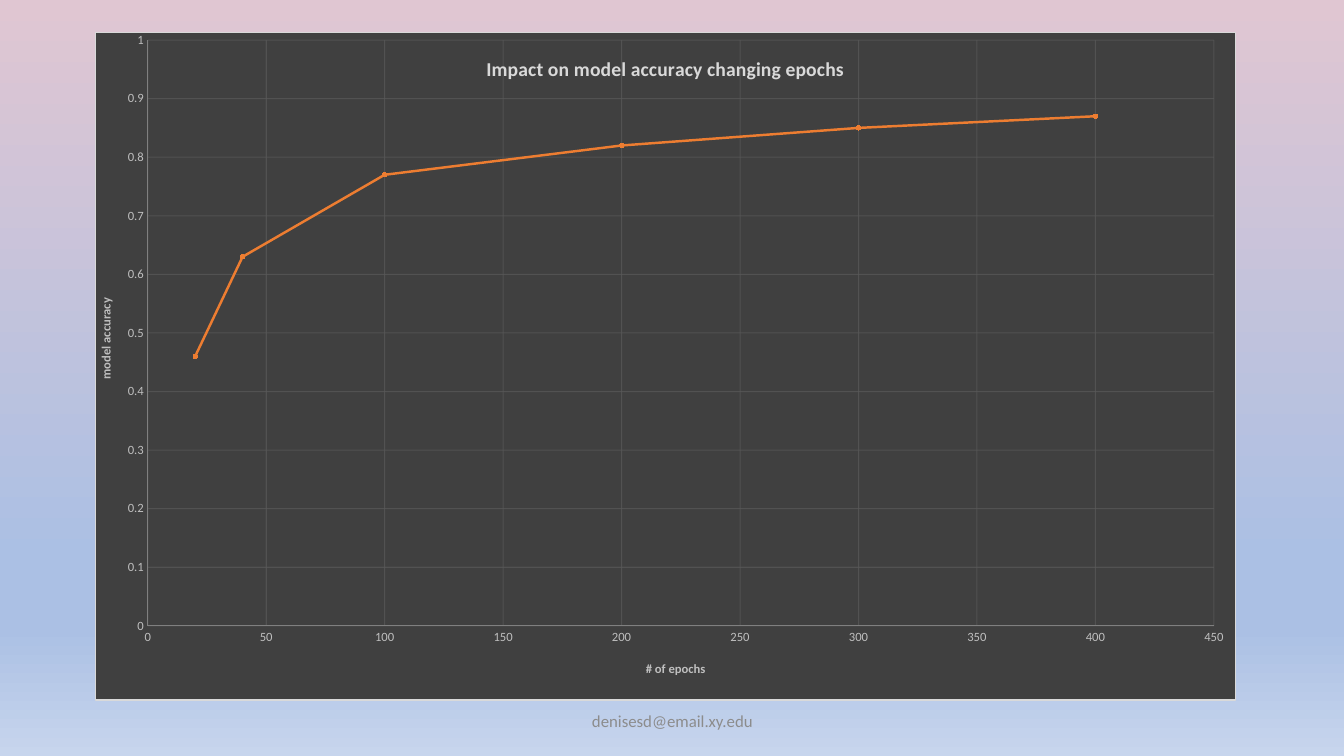
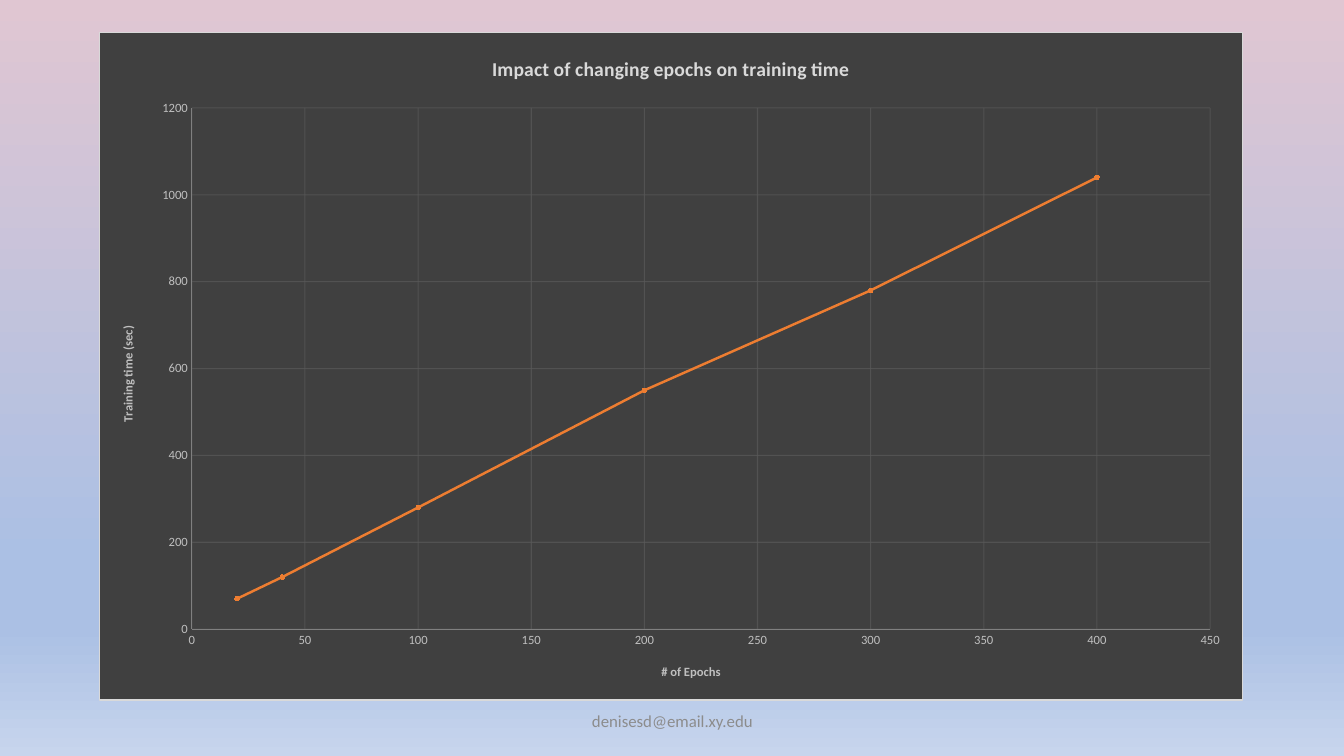
from pptx import Presentation
from pptx import util as u
from pptx.chart.data import XyChartData
from pptx.dml.color import RGBColor
from pptx.enum import chart as ch, text
from pptx.oxml import parse_xml
from pptx.oxml.ns import nsdecls, qn

COLORS = {
    "panel": "404040", "border": "D9D9D9", "title": "D9D9D9",
    "label": "BFBFBF", "axis": "808080", "grid": "595959",
    "curve": "ED7D31", "marker": "F4B183", "footer": "8C8C8C",
}
BACKGROUND = [(0, "E0C6D2"), (74, "ABC0E4"), (83, "ABC0E4"), (100, "C7D5ED")]
FONT = "Calibri"
EPOCHS = [20, 40, 100, 200, 300, 400]
FOOTER = "denisesd@email.xy.edu"
FOOTER_BOX = (4.42, 6.95, 4.5, 0.4)

CHARTS = [
    {"box": (0.94, 0.32, 11.32, 6.63),
     "title": "Impact on model accuracy changing epochs",
     "x_title": "# of epochs", "y_title": "model accuracy",
     "values": [0.46, 0.63, 0.77, 0.82, 0.85, 0.87],
     "y_max": 1, "y_step": 0.1,
     "plot": {"x": 0.046, "y": 0.011, "w": 0.935, "h": 0.878}},
    {"box": (0.98, 0.32, 11.35, 6.63),
     "title": "Impact of changing epochs on training time",
     "x_title": "# of Epochs", "y_title": "Training time (sec)",
     "values": [70, 120, 280, 550, 780, 1040],
     "y_max": 1200, "y_step": 200, "plot": None},
]


def rgb(name):
    return RGBColor.from_string(COLORS[name])


def set_font(font, size, color, bold=False):
    font.name, font.size, font.bold = FONT, u.Pt(size), bold
    font.color.rgb = rgb(color)


def set_line(line, color, width=0.75):
    line.color.rgb = rgb(color)
    line.width = u.Pt(width)


def set_title(owner, words, size, color):
    frame = (owner.chart_title if hasattr(owner, "chart_title") else owner.axis_title).text_frame
    frame.text = words
    set_font(frame.paragraphs[0].font, size, color, bold=True)


def paint_background(slide):
    fill = slide.background.fill
    fill.gradient()
    fill.gradient_angle = 270  # counter-clockwise, so top to bottom
    stops = "".join(f'<a:gs pos="{pos * 1000}"><a:srgbClr val="{color}"/></a:gs>'
                    for pos, color in BACKGROUND)
    stop_list = next(slide.background._cSld.iter(qn("a:gsLst")))
    stop_list.getparent().replace(
        stop_list, parse_xml(f'<a:gsLst {nsdecls("a")}>{stops}</a:gsLst>'))


def paint_panel(chart):
    chart._chartSpace.find(qn("c:chart")).addnext(parse_xml(
        f'<c:spPr {nsdecls("c", "a")}>'
        f'<a:solidFill><a:srgbClr val="{COLORS["panel"]}"/></a:solidFill>'
        f'<a:ln w="{u.Pt(0.75)}"><a:solidFill><a:srgbClr val="{COLORS["border"]}"/>'
        '</a:solidFill></a:ln></c:spPr>'))


def place_plot(chart, plot):
    """Fix the inner plot area, in fractions of the chart."""
    area = chart._chartSpace.find(qn("c:chart")).find(qn("c:plotArea"))
    for layout in area.findall(qn("c:layout")):
        area.remove(layout)
    modes = "".join(f'<c:{side}Mode val="edge"/>' for side in "xy")
    sizes = "".join(f'<c:{side} val="{share}"/>' for side, share in plot.items())
    area.insert(0, parse_xml(
        f'<c:layout {nsdecls("c")}><c:manualLayout><c:layoutTarget val="inner"/>'
        f'{modes}{sizes}</c:manualLayout></c:layout>'))


def style_axis(axis, title, maximum, step):
    axis.minimum_scale, axis.maximum_scale, axis.major_unit = 0, maximum, step
    axis.major_tick_mark = axis.minor_tick_mark = ch.XL_TICK_MARK.NONE
    axis.tick_labels.number_format = "General"
    axis.tick_labels.number_format_is_linked = False
    set_font(axis.tick_labels.font, 9, "label")
    set_line(axis.format.line, "axis")
    axis.has_major_gridlines = True
    grid = axis.major_gridlines.format.line
    set_line(grid, "grid")
    grid_color = next(axis.major_gridlines._xAx.find(qn("c:majorGridlines")).iter(qn("a:srgbClr")))
    grid_color.append(parse_xml(f'<a:alpha {nsdecls("a")} val="75000"/>'))
    set_title(axis, title, 9, "label")


def style_curve(curve):
    curve.smooth = True
    set_line(curve.format.line, "curve", 1.75)
    curve.marker.style, curve.marker.size = ch.XL_MARKER_STYLE.CIRCLE, 3
    dot = curve.marker.format
    dot.fill.solid()
    dot.fill.fore_color.rgb = rgb("marker")
    set_line(dot.line, "curve")


def add_curve_chart(slide, box, title, x_title, y_title, values, y_max, y_step, plot):
    data = XyChartData()
    points = data.add_series("Series 1")
    for epoch, value in zip(EPOCHS, values):
        points.add_data_point(epoch, value)
    chart = slide.shapes.add_chart(
        ch.XL_CHART_TYPE.XY_SCATTER_SMOOTH, *map(u.Inches, box), data).chart
    chart.has_legend = False
    chart.font.name, chart.font.size = FONT, u.Pt(10)
    chart.plots[0].vary_by_categories = False
    paint_panel(chart)
    set_title(chart, title, 14, "title")
    style_axis(chart.category_axis, x_title, 450, 50)
    style_axis(chart.value_axis, y_title, y_max, y_step)
    style_curve(chart.plots[0].series[0])
    if plot:
        chart.chart_title.include_in_layout = True
        place_plot(chart, plot)


def add_footer(slide, box):
    frame = slide.shapes.add_textbox(*map(u.Inches, box)).text_frame
    frame.word_wrap = True
    frame.vertical_anchor = text.MSO_ANCHOR.MIDDLE
    address = frame.paragraphs[0]
    address.text = FOOTER
    address.alignment = text.PP_ALIGN.CENTER
    set_font(address.font, 12, "footer")


def main():
    deck = Presentation()
    deck.slide_width, deck.slide_height = u.Inches(13.33), u.Inches(7.5)
    for content in CHARTS:
        slide = deck.slides.add_slide(deck.slide_layouts[6])
        paint_background(slide)
        add_curve_chart(slide, **content)
        add_footer(slide, FOOTER_BOX)
    deck.save("out.pptx")


if __name__ == "__main__":
    main()
